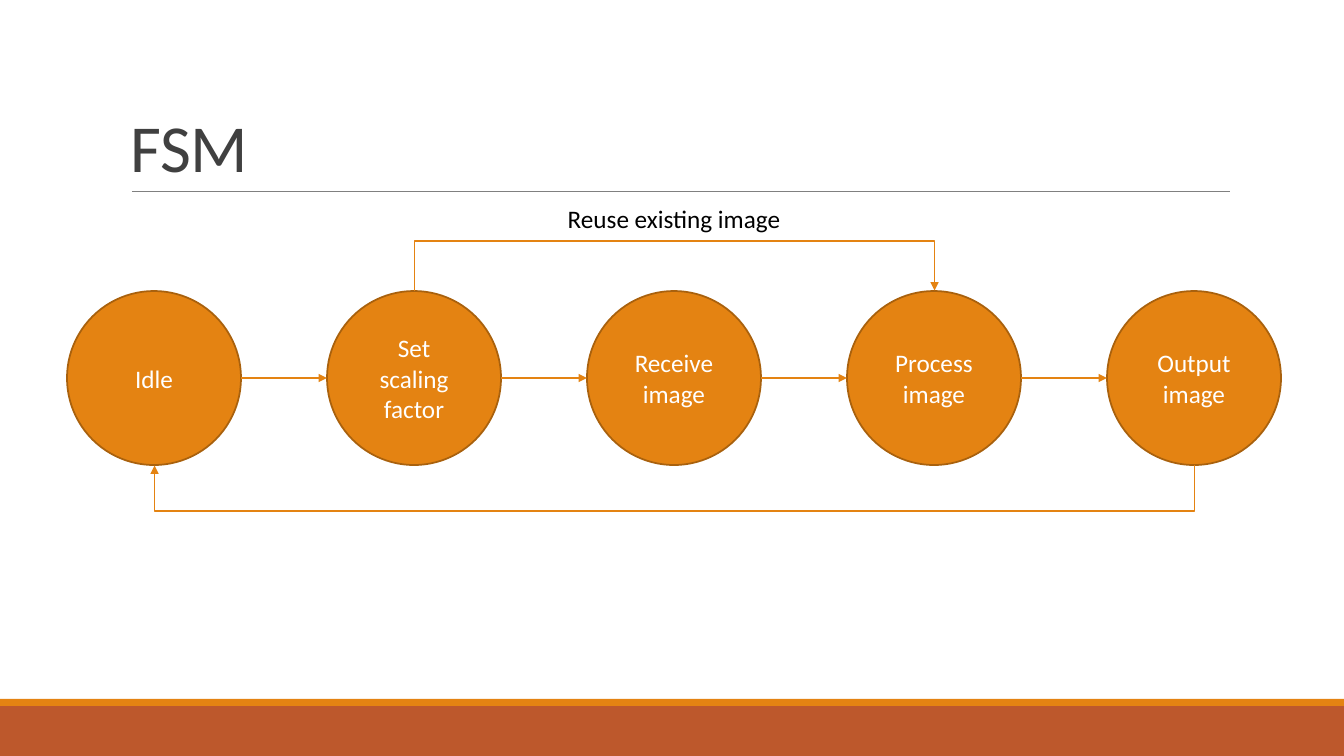
"""Build the finite state machine slide."""
from dataclasses import dataclass
from itertools import pairwise

from lxml.etree import SubElement
from pptx import Presentation
from pptx.dml.color import RGBColor
from pptx.enum.shapes import MSO_CONNECTOR, MSO_SHAPE
from pptx.enum.text import MSO_ANCHOR, PP_ALIGN
from pptx.oxml.ns import qn
from pptx.shapes.autoshape import Shape
from pptx.shapes.connector import Connector
from pptx.slide import Slide
from pptx.util import Pt

STRAIGHT, ELBOW = MSO_CONNECTOR.STRAIGHT, MSO_CONNECTOR.ELBOW
RECTANGLE, OVAL = MSO_SHAPE.RECTANGLE, MSO_SHAPE.OVAL
MIDDLE, BOTTOM = MSO_ANCHOR.MIDDLE, MSO_ANCHOR.BOTTOM
LEFT, CENTER = PP_ALIGN.LEFT, PP_ALIGN.CENTER

ORANGE = RGBColor(0xE4, 0x83, 0x12)
BROWN = RGBColor(0xA9, 0x61, 0x0D)
RUST = RGBColor(0xBD, 0x58, 0x2C)
GREY = RGBColor(0x80, 0x80, 0x80)
CHARCOAL = RGBColor(0x40, 0x40, 0x40)
WHITE = RGBColor(0xFF, 0xFF, 0xFF)
BLACK = RGBColor(0x00, 0x00, 0x00)

FONT = "Calibri"
PIXEL = 914400 / 100.8
PAGE_WIDTH, PAGE_HEIGHT = 1344, 756
STATES = ("Idle", "Set scaling factor", "Receive image", "Process image", "Output image")
DIAMETER, PITCH = 174, 260
FIRST_LEFT, STATE_TOP = 67, 291
STATE_MIDDLE = STATE_TOP + DIAMETER // 2
STATE_BOTTOM = STATE_TOP + DIAMETER


@dataclass(frozen=True)
class Band:
    top: int
    height: int
    color: RGBColor


@dataclass(frozen=True)
class Loop:
    source: str
    target: str
    y: int
    depth: int


BANDS = (Band(706, 50, RUST), Band(699, 7, ORANGE))
LOOPS = (
    Loop("Set scaling factor", "Process image", STATE_TOP, 51),
    Loop("Output image", "Idle", STATE_BOTTOM, 47),
)


def emu(pixels: int) -> int:
    """Convert pixels to EMU."""
    return round(pixels * PIXEL)


def state_left(state: str) -> int:
    """Return the left edge of a state."""
    return FIRST_LEFT + STATES.index(state) * PITCH


def write(shape: Shape, text: str, size: int, color: RGBColor, align: PP_ALIGN) -> None:
    """Put one formatted paragraph in a shape."""
    shape.text_frame.word_wrap = True
    shape.text_frame.text = text
    para = shape.text_frame.paragraphs[0]
    para.alignment = align
    font = para.runs[0].font
    font.name, font.size = FONT, Pt(size)
    font.color.rgb = color


def add_filled(page: Slide, kind: MSO_SHAPE, left: int, top: int,
               width: int, height: int, color: RGBColor) -> Shape:
    """Add a filled shape with no shadow or outline."""
    shape = page.shapes.add_shape(kind, emu(left), emu(top), emu(width), emu(height))
    shape.shadow.inherit = False
    shape.fill.solid()
    shape.fill.fore_color.rgb = color
    shape.line.fill.background()
    return shape


def add_text(page: Slide, left: int, top: int, width: int, height: int) -> Shape:
    """Add an empty text box."""
    return page.shapes.add_textbox(emu(left), emu(top), emu(width), emu(height))


def add_state(page: Slide, state: str) -> None:
    """Add one state circle."""
    circle = add_filled(page, OVAL, state_left(state), STATE_TOP, DIAMETER, DIAMETER, ORANGE)
    circle.line.color.rgb = BROWN
    circle.line.width = Pt(1.25)
    circle.text_frame.vertical_anchor = MIDDLE
    write(circle, state, 18, WHITE, CENTER)


def add_line(page: Slide, kind: MSO_CONNECTOR, start: tuple[int, int], end: tuple[int, int],
             color: RGBColor, weight: float, arrow: bool) -> Connector:
    """Add a connector, with an arrowhead at its end on request."""
    line = page.shapes.add_connector(kind, *map(emu, start), *map(emu, end))
    line.line.color.rgb = color
    line.line.width = Pt(weight)
    properties = line._element.spPr
    if arrow:
        SubElement(properties.find(qn("a:ln")), qn("a:tailEnd"), type="triangle")
    SubElement(properties, qn("a:effectLst"))
    return line


def add_loop(page: Slide, loop: Loop) -> None:
    """Add an elbow arrow as a one-pixel-wide connector turned by 90 degrees."""
    start, end = (state_left(state) + DIAMETER // 2 for state in (loop.source, loop.target))
    middle, reach = (start + end) // 2, (end - start) // 2
    rightward = int(reach > 0)
    line = add_line(page, ELBOW, (middle + rightward, loop.y + reach),
                    (middle + 1 - rightward, loop.y - reach), ORANGE, 1, True)
    properties = line._element.spPr
    properties.find(qn("a:xfrm")).set("rot", str(90 * 60000))
    adjustments = properties.find(qn("a:prstGeom")).find(qn("a:avLst"))
    SubElement(adjustments, qn("a:gd"), name="adj1", fmla=f"val {loop.depth * 100000}")


def add_title(page: Slide) -> None:
    """Add the slide title."""
    title = add_text(page, 121, 31, 1109, 160)
    title.text_frame.vertical_anchor = BOTTOM
    write(title, "FSM", 48, CHARCOAL, LEFT)
    para = title.text_frame.paragraphs[0]
    para.line_spacing = 0.85
    para.runs[0].font._element.set("spc", "-50")


def main() -> None:
    """Create and save the deck."""
    deck = Presentation()
    deck.slide_width, deck.slide_height = emu(PAGE_WIDTH), emu(PAGE_HEIGHT)
    page = deck.slides.add_slide(deck.slide_layouts[6])
    for band in BANDS:
        add_filled(page, RECTANGLE, 0, band.top, PAGE_WIDTH, band.height, band.color)
    add_line(page, STRAIGHT, (132, 191), (1230, 191), GREY, 0.5, False)
    add_title(page)
    for state in STATES:
        add_state(page, state)
    for source, target in pairwise(STATES):
        add_line(page, STRAIGHT, (state_left(source) + DIAMETER, STATE_MIDDLE),
                 (state_left(target), STATE_MIDDLE), ORANGE, 1, True)
    for loop in LOOPS:
        add_loop(page, loop)
    label = add_text(page, 548, 198, 252, 40)
    write(label, "Reuse existing image", 18, BLACK, CENTER)
    deck.save("out.pptx")


main()
